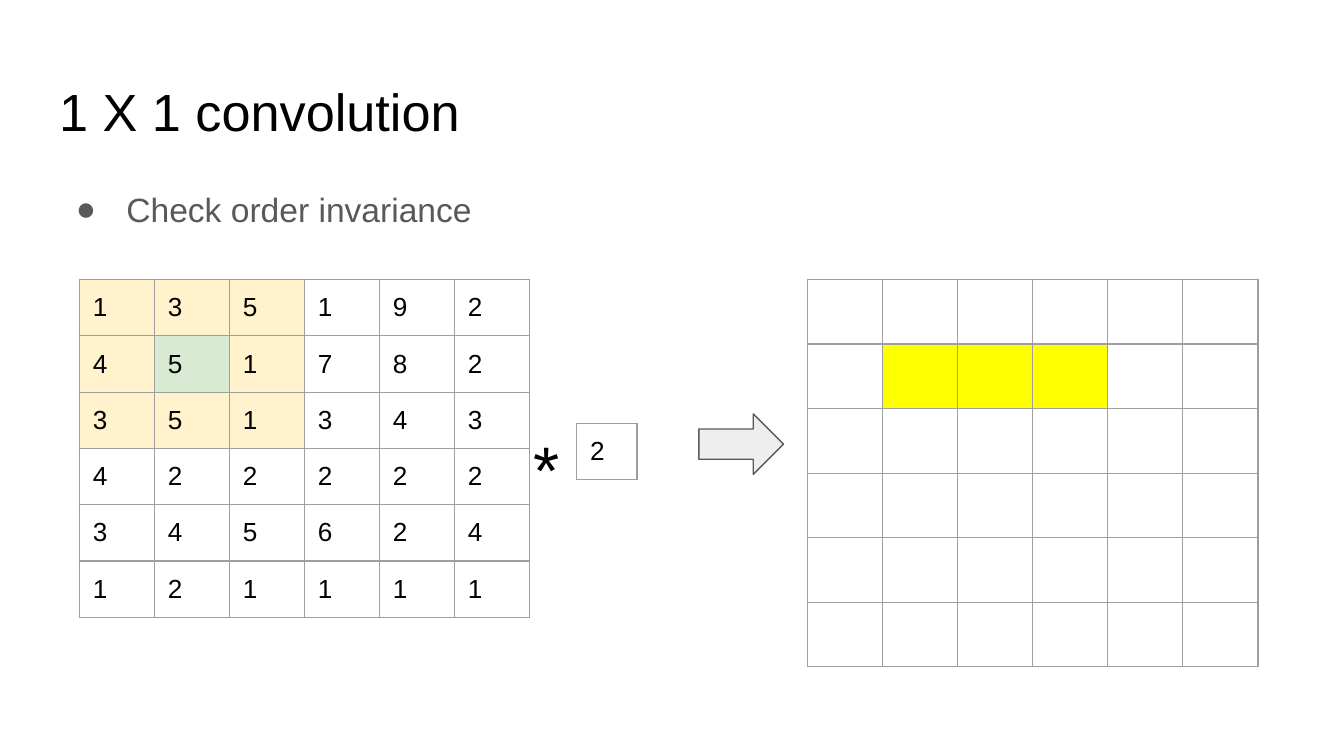
from dataclasses import dataclass

from lxml.etree import SubElement
from pptx import Presentation
from pptx.dml.color import RGBColor
from pptx.enum.shapes import MSO_SHAPE
from pptx.enum.text import MSO_ANCHOR, MSO_AUTO_SIZE, PP_ALIGN
from pptx.oxml.ns import qn
from pptx.util import Emu, Inches, Pt


@dataclass(frozen=True)
class Theme:
    font: str = "Arial"
    ink: str = "000000"
    muted: str = "595959"
    border: str = "9E9E9E"
    arrow: str = "EEEEEE"
    window: str = "FFF2CC"
    center: str = "D9EAD3"
    output: str = "FFFF00"
    title_size: int = 28
    body_size: int = 18
    cell_size: int = 14
    operator_size: int = 36
    line: float = 0.75


THEME = Theme()
SLIDE_WIDTH = Inches(10)
SLIDE_HEIGHT = Emu(SLIDE_WIDTH * 9 // 16)
COLUMNS = 100  # the slide is a grid of 100 columns with square modules
MODULE = SLIDE_WIDTH / COLUMNS
INSET = 1

INPUT_ROWS = ["135192", "451782", "351343", "422222", "345624", "121111"]
INPUT_FILLS = {(row, col): THEME.window for row in range(3) for col in range(3)}
INPUT_FILLS[1, 1] = THEME.center
OUTPUT_ROWS = [[""] * 6] * 6
OUTPUT_FILLS = {(1, col): THEME.output for col in (1, 2, 3)}


def grid(modules):
    return Emu(round(modules * MODULE))


def place(part, box):
    part.left, part.top, part.width, part.height = map(grid, box)


def write(frame, text, size, color=THEME.ink, spacing=1.0):
    frame.text = text
    frame.word_wrap = True
    paragraph = frame.paragraphs[0]
    paragraph.alignment = PP_ALIGN.LEFT
    paragraph.line_spacing = spacing
    paragraph.space_before = paragraph.space_after = Pt(0)
    font = paragraph.runs[0].font
    font.name, font.size = THEME.font, Pt(size)
    font.color.rgb = RGBColor.from_string(color)
    return paragraph


def set_insets(frame):
    frame.margin_left = frame.margin_right = grid(INSET)
    frame.margin_top = frame.margin_bottom = grid(INSET)


def prepare_frame(part, box):
    place(part, box)
    frame = part.text_frame
    frame.auto_size = MSO_AUTO_SIZE.NONE
    frame.vertical_anchor = MSO_ANCHOR.TOP
    set_insets(frame)
    return frame


def add_heading(slide, box):
    write(prepare_frame(slide.shapes.title, box), "1 X 1 convolution", THEME.title_size)


def add_bullet(slide, box):
    frame = prepare_frame(slide.placeholders[1], box)
    paragraph = write(frame, "Check order invariance", THEME.body_size,
                      color=THEME.muted, spacing=1.15)
    properties = paragraph._p.get_or_add_pPr()
    properties.set("marL", str(grid(5)))
    properties.set("indent", str(grid(-3.75)))
    bullet_color = SubElement(properties, qn("a:buClr"))
    SubElement(bullet_color, qn("a:srgbClr"), val=THEME.muted)
    SubElement(properties, qn("a:buFont"), typeface=THEME.font)
    SubElement(properties, qn("a:buChar"), char="●")


def outline_cell(cell):
    properties = cell._tc.get_or_add_tcPr()
    for side in ("a:lnL", "a:lnR", "a:lnT", "a:lnB"):
        edge = SubElement(properties, qn(side), w=str(Pt(THEME.line)))
        fill = SubElement(edge, qn("a:solidFill"))
        SubElement(fill, qn("a:srgbClr"), val=THEME.border)


def format_blank(cell):
    """An empty cell takes its least height from its paragraph's end mark."""
    paragraph = cell.text_frame.paragraphs[0]._p
    mark = SubElement(paragraph, qn("a:endParaRPr"), sz=str(THEME.body_size * 100))
    SubElement(mark, qn("a:latin"), typeface=THEME.font)


def add_matrix(slide, box, rows, fills):
    """Divide the box into equal cells, one for each value; rows grow to fit text."""
    matrix = slide.shapes.add_table(len(rows), len(rows[0]), *map(grid, box)).table
    matrix.first_row = matrix.horz_banding = False
    for column in matrix.columns:
        column.width = grid(box[2] / len(rows[0]))
    for row in matrix.rows:
        row.height = grid(box[3] / len(rows))
    for r, values in enumerate(rows):
        for c, value in enumerate(values):
            cell = matrix.cell(r, c)
            set_insets(cell)
            outline_cell(cell)
            if (r, c) in fills:
                cell.fill.solid()
                cell.fill.fore_color.rgb = RGBColor.from_string(fills[r, c])
            else:
                cell.fill.background()
            if value:
                write(cell.text_frame, value, THEME.cell_size)
            else:
                format_blank(cell)


def add_result_arrow(slide, box):
    arrow = slide.shapes.add_shape(MSO_SHAPE.RIGHT_ARROW, *map(grid, box))
    arrow.shadow.inherit = False
    arrow.fill.solid()
    arrow.fill.fore_color.rgb = RGBColor.from_string(THEME.arrow)
    arrow.line.color.rgb = RGBColor.from_string(THEME.muted)
    arrow.line.width = Pt(THEME.line)


def add_operator(slide, box):
    operator = slide.shapes.add_textbox(*map(grid, box))
    write(prepare_frame(operator, box), "*", THEME.operator_size)


def main():
    presentation = Presentation()
    presentation.slide_width, presentation.slide_height = SLIDE_WIDTH, SLIDE_HEIGHT
    slide = presentation.slides.add_slide(presentation.slide_layouts[1])

    # Heading and list
    add_heading(slide, (3.4, 4.9, 93.2, 6.3))
    add_bullet(slide, (3.4, 12.6, 93.2, 37.4))

    # Input matrix * kernel -> output matrix
    add_matrix(slide, (5.9, 20.8, 33.5, 24.8), INPUT_ROWS, INPUT_FILLS)
    add_result_arrow(slide, (52, 30.8, 6.3, 4.5))
    add_operator(slide, (38.7, 30.8, 6.3, 9.4))
    add_matrix(slide, (60.1, 20.8, 33.5, 24.8), OUTPUT_ROWS, OUTPUT_FILLS)
    add_matrix(slide, (42.9, 31.5, 4.5, 4.2), ["2"], {})

    presentation.save("out.pptx")


if __name__ == "__main__":
    main()
